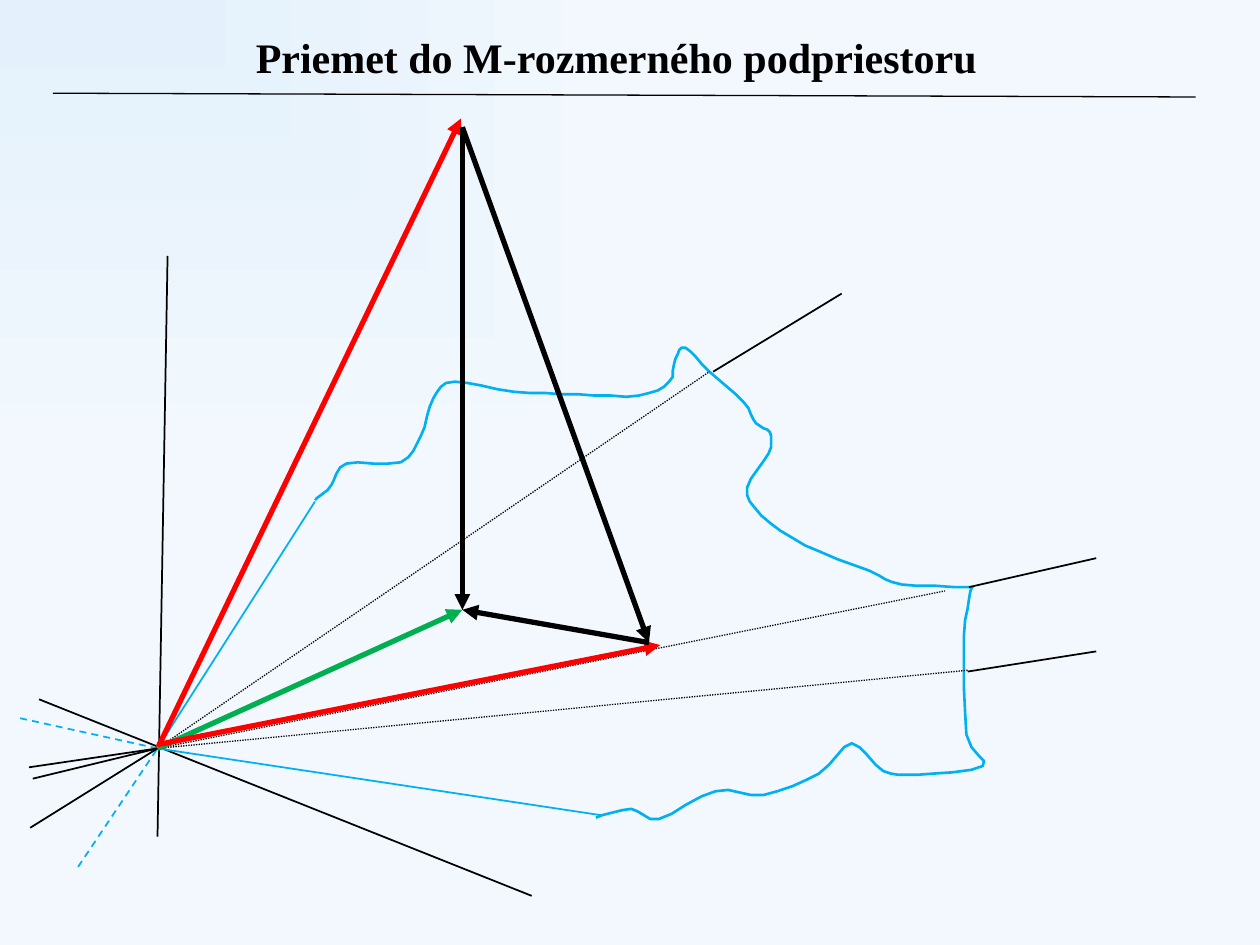
from lxml.etree import SubElement
from pptx import Presentation
from pptx.dml.color import RGBColor
from pptx.enum.dml import MSO_LINE
from pptx.enum.shapes import MSO_CONNECTOR
from pptx.enum.text import MSO_ANCHOR, PP_ALIGN
from pptx.oxml import parse_xml
from pptx.oxml.ns import nsdecls, qn
from pptx.util import Inches, Pt

COLORS = {
    "black": "000000", "gray": "606060", "red": "FF0000", "green": "00B050",
    "blue": "00B0F0", "corner": "E4F1FC", "page": "F2F8FD",
}
COLUMNS = 1000
CURVE_STEPS = 4
ORIGIN = (125, 594)
PEAK = (367, 101)
FOOT = (367, 484)
TARGET = (515, 510)

SUBSPACE_EDGE = [
    (250, 397), (263, 385), (275, 368), (318, 367), (334, 346), (344, 316),
    (361, 303), (408, 311), (459, 313), (507, 314), (531, 303), (536, 285),
    (544, 276), (563, 295), (590, 319), (600, 336), (611, 343), (610, 360),
    (593, 387), (604, 409), (639, 433), (690, 453), (716, 464), (767, 466),
    (770, 470), (765, 505), (767, 583), (780, 608), (728, 615), (701, 612),
    (676, 590), (650, 614), (606, 631), (568, 628), (523, 650), (501, 642),
    (473, 649),
]


def smooth(points):
    padded = [points[0], *points, points[-1]]
    curve = [points[0]]
    for before, start, end, after in zip(padded, padded[1:], padded[2:], padded[3:]):
        for step in range(1, CURVE_STEPS + 1):
            t = step / CURVE_STEPS
            curve.append(tuple(
                b + t * (c - a + t * (2 * a - 5 * b + 4 * c - d
                                      + t * (3 * b - 3 * c + d - a))) / 2
                for a, b, c, d in zip(before, start, end, after)))
    return curve


class Sketch:
    def __init__(self, presentation):
        self.font = "Times New Roman"
        self.cell = presentation.slide_width // COLUMNS
        self.slide = presentation.slides.add_slide(presentation.slide_layouts[5])

    def color(self, name):
        return RGBColor.from_string(COLORS[name])

    def background(self):
        self.slide.element.cSld.insert(0, parse_xml(
            f'<p:bg {nsdecls("p", "a")}><p:bgPr><a:gradFill rotWithShape="1"><a:gsLst>'
            f'<a:gs pos="0"><a:srgbClr val="{COLORS["corner"]}"/></a:gs>'
            f'<a:gs pos="100000"><a:srgbClr val="{COLORS["page"]}"/></a:gs></a:gsLst>'
            '<a:path path="rect"><a:fillToRect r="100000" b="100000"/></a:path>'
            '</a:gradFill><a:effectLst/></p:bgPr></p:bg>'))

    def title(self, text, left, top, width, height):
        shape = self.slide.shapes.title
        shape.left, shape.top = left * self.cell, top * self.cell
        shape.width, shape.height = width * self.cell, height * self.cell
        frame = shape.text_frame
        frame.text = text
        frame.word_wrap = True
        frame.vertical_anchor = MSO_ANCHOR.TOP
        paragraph = frame.paragraphs[0]
        paragraph.alignment = PP_ALIGN.LEFT
        paragraph.font.name = self.font
        paragraph.font.size = Pt(24)
        paragraph.font.bold = True
        paragraph.font.color.rgb = self.color("black")

    def line(self, start, end, color="black", width=1, dash=None, arrow=False):
        connector = self.slide.shapes.add_connector(
            MSO_CONNECTOR.STRAIGHT, *(value * self.cell for value in start + end))
        connector.line.color.rgb = self.color(color)
        connector.line.width = Pt(width)
        if dash:
            connector.line.dash_style = dash
        properties = connector.element.spPr
        if arrow:
            SubElement(properties.find(qn("a:ln")), qn("a:tailEnd"), type="triangle")
        SubElement(properties, qn("a:effectLst"))

    def dotted(self, end):
        self.line(ORIGIN, end, width=0.75, dash=MSO_LINE.ROUND_DOT)

    def arrow(self, start, end, color="black"):
        self.line(start, end, color, 3, arrow=True)

    def outline(self, points, color, width):
        builder = self.slide.shapes.build_freeform(*points[0], scale=self.cell)
        builder.add_line_segments(points[1:], close=False)
        shape = builder.convert_to_shape()
        shape.shadow.inherit = False
        shape.fill.background()
        shape.line.color.rgb = self.color(color)
        shape.line.width = Pt(width)


def main():
    presentation = Presentation()
    presentation.slide_width, presentation.slide_height = Inches(10), Inches(7.5)
    sketch = Sketch(presentation)
    sketch.background()
    sketch.title("Priemet do M-rozmerného podpriestoru", 193, 20, 606, 50)

    sketch.line((125, 664), (133, 203))
    sketch.line((31, 555), (422, 711))
    for end in [(250, 398), (477, 647)]:
        sketch.line(ORIGIN, end, "blue")
    for start in [(62, 688), (16, 570)]:
        sketch.line(start, ORIGIN, "blue", dash=MSO_LINE.DASH)
    sketch.outline(smooth(SUBSPACE_EDGE), "blue", 1.5)
    for end in [(563, 295), (768, 532), (750, 469)]:
        sketch.dotted(end)
    for start, end in [((768, 533), (870, 517)), ((769, 466), (870, 443)),
                       ((566, 295), (668, 233))]:
        sketch.line(start, end)
    for start in [(23, 609), (26, 618), (24, 657)]:
        sketch.line(start, ORIGIN)

    sketch.arrow(ORIGIN, (366, 94), "red")
    sketch.line(FOOT, PEAK, "gray", dash=MSO_LINE.DASH)
    sketch.arrow(ORIGIN, FOOT, "green")
    sketch.line((42, 74), (949, 77), width=0.75)
    sketch.arrow((125, 591), (524, 512), "red")
    sketch.arrow(TARGET, FOOT)
    for end in [FOOT, TARGET]:
        sketch.arrow(PEAK, end)
    presentation.save("out.pptx")


if __name__ == "__main__":
    main()
